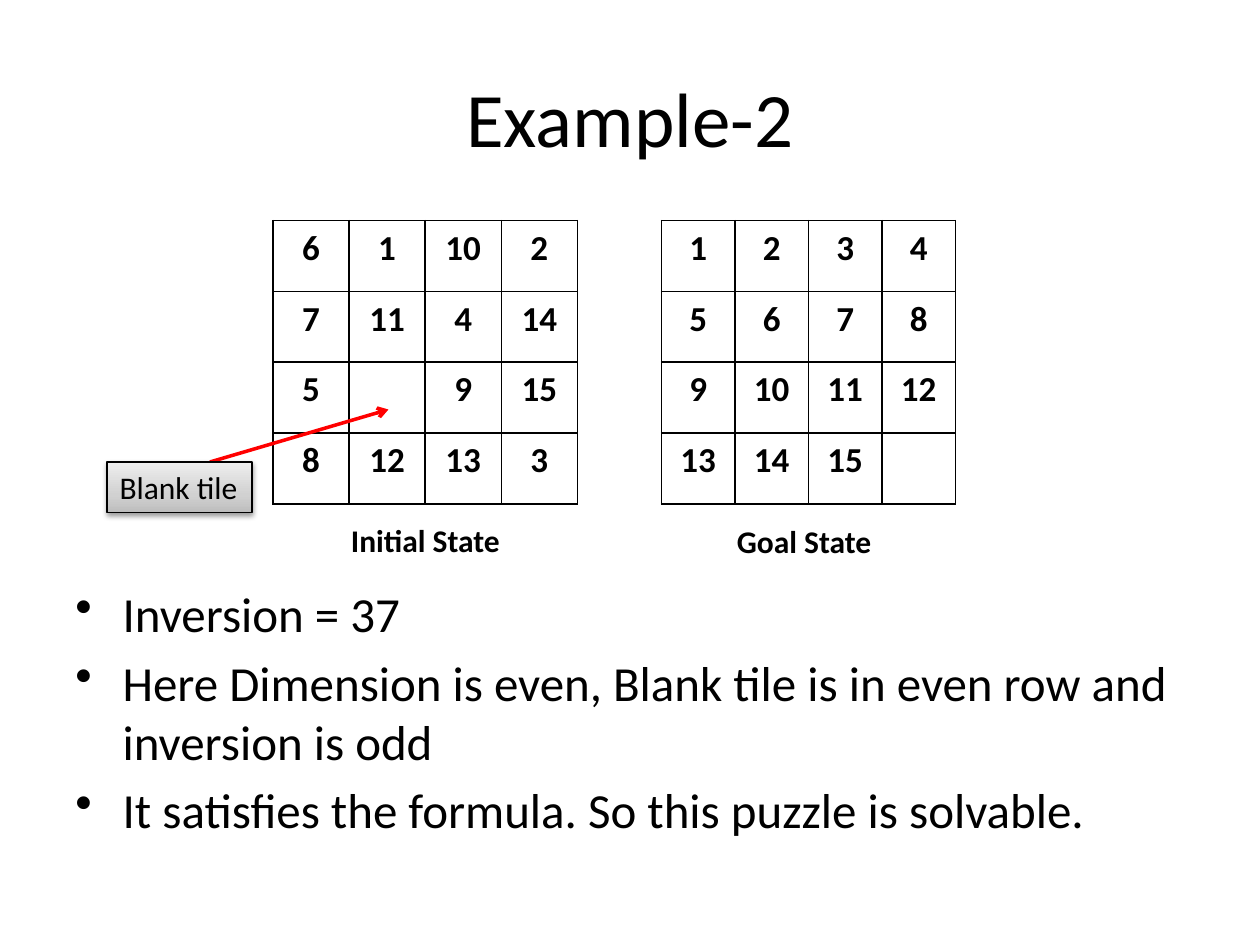
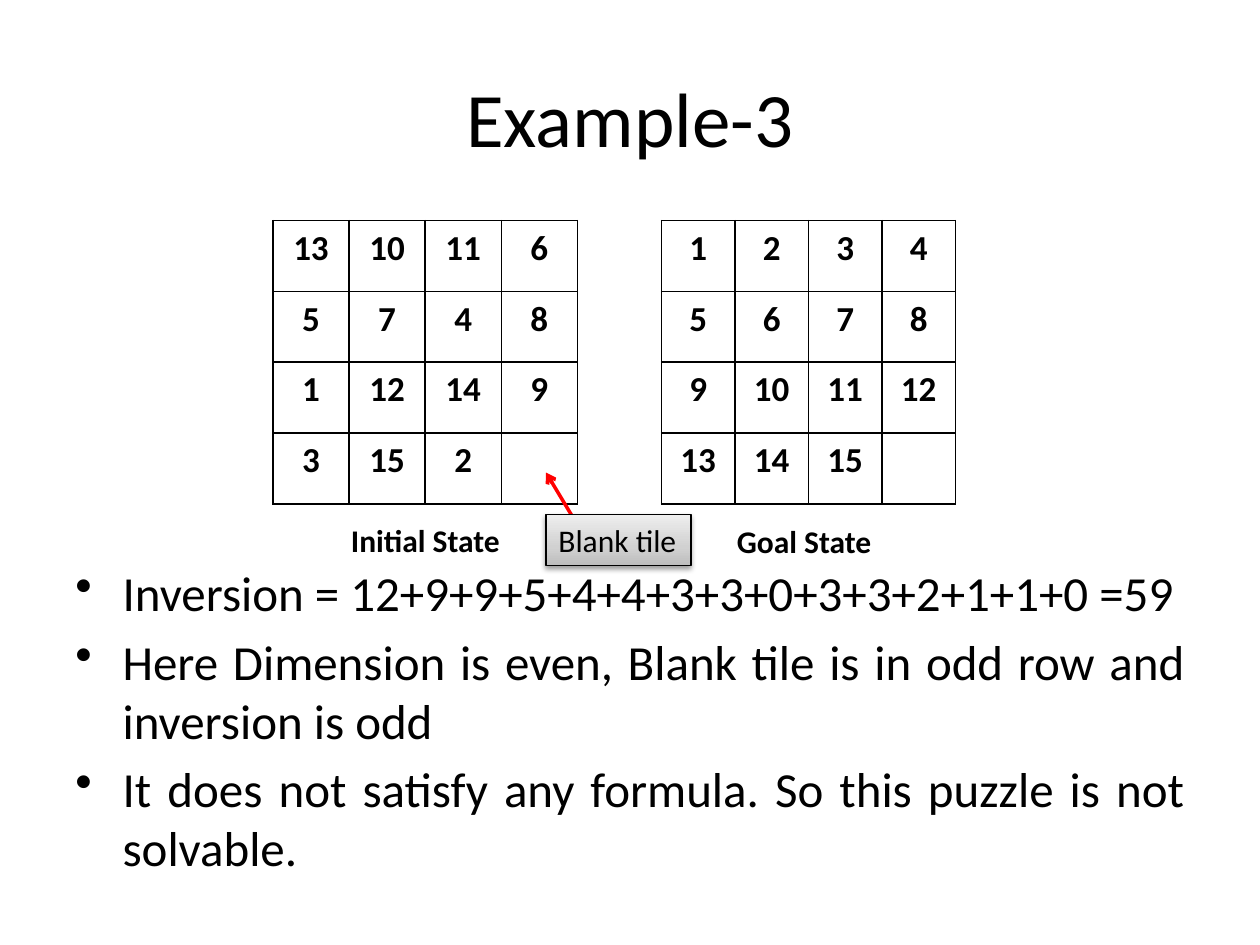
from pptx import Presentation
from pptx.dml.color import RGBColor as RGB
from pptx.enum.shapes import MSO_CONNECTOR as LINK, MSO_SHAPE as SHAPE
from pptx.enum.text import MSO_ANCHOR as ANCHOR, MSO_AUTO_SIZE as FIT, PP_ALIGN as ALIGN
from pptx.oxml import parse_xml
from pptx.oxml.ns import nsdecls, qn
from pptx.util import Pt

BLACK, RED = "000000", "FF0000"
SHADES = {0: "BDBDBD", 35: "D1D1D1", 100: "EEEEEE"}
SIDE = 4
TOP, ROW = 126, 40.5
GOAL = [*range(1, SIDE * SIDE), None]


def hue(code):
    return RGB.from_string(code)


def node(tag, attrs="", inner=""):
    return parse_xml(f"<a:{tag} {nsdecls('a')} {attrs}>{inner}</a:{tag}>")


def paint(code, inner=""):
    return f'<a:srgbClr val="{code}">{inner}</a:srgbClr>'


class Deck:
    """Holds the shared style and the slide being filled."""

    def __init__(self, font="Calibri", ink=BLACK):
        self.font, self.ink = font, ink
        self.deck = Presentation()
        self.deck.slide_width, self.deck.slide_height = Pt(720), Pt(540)

    def page(self):
        self.slide = self.deck.slides.add_slide(self.deck.slide_layouts[6])

    def style(self, para, size, bold=False, align=ALIGN.LEFT):
        para.alignment = align
        para.font.name, para.font.size, para.font.bold = self.font, Pt(size), bold
        para.font.color.rgb = hue(self.ink)

    def box(self, x, y, w, h):
        box = self.slide.shapes.add_textbox(Pt(x), Pt(y), Pt(w), Pt(h))
        box.text_frame.word_wrap = True
        return box

    def hug(self, shape, text, bold=False):
        """Put one unwrapped line in a shape that fits its text."""
        frame = shape.text_frame
        frame.text = text
        frame.word_wrap, frame.auto_size = False, FIT.SHAPE_TO_FIT_TEXT
        frame.vertical_anchor = ANCHOR.TOP
        self.style(frame.paragraphs[0], 18, bold)

    def title(self, text):
        frame = self.box(36, 21.6, 648, 90).text_frame
        frame.text, frame.vertical_anchor = text, ANCHOR.MIDDLE
        self.style(frame.paragraphs[0], 44, align=ALIGN.CENTER)

    def points(self, lines, y, align):
        box = self.box(36, y, 648, 486 - y)
        box.text_frame.text = "\n".join(lines)
        for para in box.text_frame.paragraphs:
            self.style(para, 28, align=align)
            para.space_before = Pt(5.6)
        for prop in box.element.iter(qn("a:pPr")):
            prop.set("marL", str(Pt(27)))
            prop.set("indent", str(Pt(-27)))
            prop.find(qn("a:defRPr")).addprevious(node("buChar", 'char="•"'))

    def grid(self, tiles, x, width):
        frame = self.slide.shapes.add_table(
            SIDE, SIDE, Pt(x), Pt(TOP), Pt(SIDE * width), Pt(SIDE * ROW))
        table = frame.table
        table.first_row = table.horz_banding = False
        for col in table.columns:
            col.width = Pt(width)
        for cell, tile in zip(table.iter_cells(), tiles):
            cell.text = str(tile or "")
            cell.fill.background()
            self.style(cell.text_frame.paragraphs[0], 20, True, ALIGN.CENTER)
        for prop in frame.element.iter(qn("a:tcPr")):
            for spot, edge in enumerate("LRTB"):
                fill = f"<a:solidFill>{paint(self.ink)}</a:solidFill>"
                prop.insert(spot, node(f"ln{edge}", f'w="{Pt(1)}"', fill))

    def label(self, text, x, y, w):
        self.hug(self.box(x, y, w, 29.08), text, True)

    def arrow(self, start, end):
        line = self.slide.shapes.add_connector(LINK.STRAIGHT, *map(Pt, start + end))
        line.line.color.rgb, line.line.width = hue(RED), Pt(2)
        props = line.element.spPr
        props.find(qn("a:ln")).append(node("tailEnd", 'type="arrow"'))
        props.append(node("effectLst"))

    def tag(self, text, x, y):
        tag = self.slide.shapes.add_shape(
            SHAPE.RECTANGLE, Pt(x), Pt(y), Pt(82.8), Pt(29.08))
        tag.line.color.rgb, tag.line.width = hue(BLACK), Pt(0.75)
        tag.fill.gradient()
        tag.fill.gradient_angle = 90
        props = tag.element.spPr
        stops = props.find(f".//{qn('a:gsLst')}")
        stops.clear()
        for spot, code in SHADES.items():
            stops.append(node("gs", f'pos="{spot * 1000}"', paint(code)))
        tag.shadow.inherit = False
        props.find(qn("a:effectLst")).append(node(
            "outerShdw",
            f'blurRad="{Pt(3.1)}" dist="{Pt(1.6)}" dir="5400000" rotWithShape="0"',
            paint(BLACK, '<a:alpha val="38000"/>')))
        self.hug(tag, text)

    def puzzle(self, name, tiles, lines, y, align, start, end, spot):
        """Add a slide with the start and goal grids, the blank marked, and the verdict."""
        self.page()
        self.title(name)
        self.points(lines, y, align)
        self.grid(tiles, 156, 43.5)
        self.grid(GOAL, 378, 42)
        self.label("Initial State", 193.5, 294, 100)
        self.label("Goal State", 414, 295, 92)
        self.arrow(start, end)
        self.tag("Blank tile", *spot)


def main():
    deck = Deck()
    deck.puzzle(
        "Example-2",
        [6, 1, 10, 2, 7, 11, 4, 14, 5, None, 9, 15, 8, 12, 13, 3],
        ["Inversion = 37",
         "Here Dimension is even, Blank tile is in even row and inversion is odd",
         "It satisfies the formula. So this puzzle is solvable."],
        330, ALIGN.LEFT, (120, 264), (222, 234), (61.2, 264))
    deck.puzzle(
        "Example-3",
        [13, 10, 11, 6, 5, 7, 4, 8, 1, 12, 14, 9, 3, 15, 2, None],
        ["Inversion = 12+9+9+5+4+4+3+3+0+3+3+2+1+1+0 =59",
         "Here Dimension is even, Blank tile is in odd row and inversion is odd",
         "It does not satisfy any formula. So this puzzle is not solvable."],
        318, ALIGN.JUSTIFY, (330, 300), (312, 270), (312, 294))
    deck.deck.save("out.pptx")


if __name__ == "__main__":
    main()
